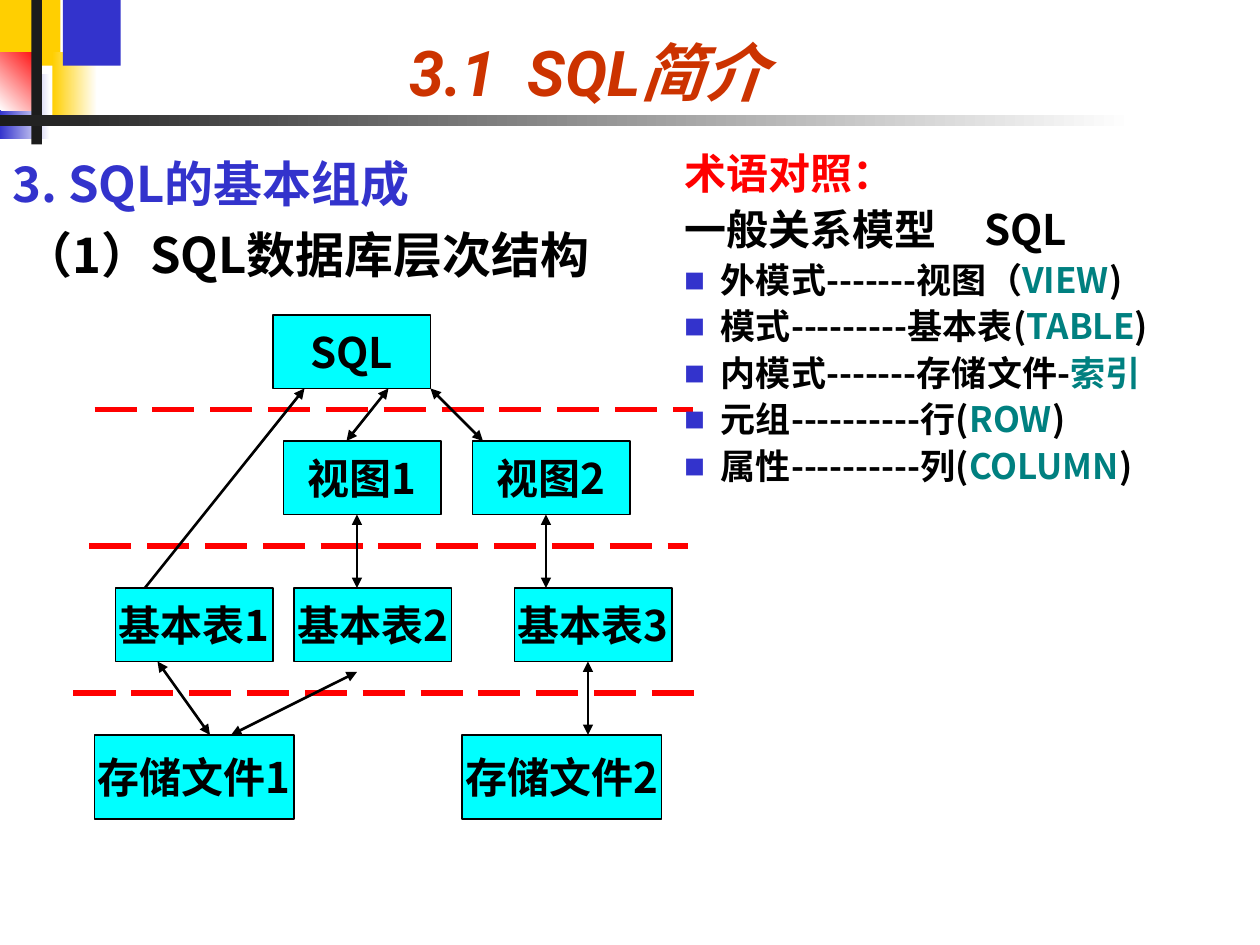
from dataclasses import dataclass
from typing import Optional

from lxml.etree import SubElement
from pptx import Presentation
from pptx.dml.color import RGBColor
from pptx.enum.dml import MSO_LINE as Dash
from pptx.enum.shapes import MSO_CONNECTOR as Connector, MSO_SHAPE as Preset
from pptx.enum.text import MSO_ANCHOR as Anchor, PP_ALIGN as Align
from pptx.oxml.ns import qn
from pptx.util import Inches, Pt

UNITS_PER_INCH = 12
CJK_FONT, TITLE_FONT = "Noto Sans CJK SC", "Roboto"
BLACK, BLUE, RED, TEAL = "000000", "3333CC", "FF0000", "008080"
GOLD, WHITE, CHARCOAL, CYAN = "FFCF01", "FFFFFF", "1C1C1C", "00FFFF"


@dataclass
class Block:
    col: float
    row: float
    cols: float
    rows: float
    fill: str
    fade: Optional[str] = None
    angle: float = 0


@dataclass
class Node:
    label: str
    col: float
    row: float
    cols: float = 15
    rows: float = 7


@dataclass
class Link:
    start: tuple[float, float]
    end: tuple[float, float]


@dataclass
class Term:
    usual: str
    keyword: str
    close: str = ")"


DECOR = [
    Block(0, 0, 5.75, 6.25, GOLD),
    Block(5, 5, 4.25, 6.25, GOLD, WHITE),
    Block(6, 0, 5.5, 6.25, BLUE),
    Block(0, 7, 4.75, 6.25, BLUE, WHITE),
    Block(0, 5, 4, 5.5, WHITE, RED, 45),
    Block(3, 0, 1, 13.75, CHARCOAL),
    Block(0, 11, 108, 1, CHARCOAL, WHITE),
]
NODES = [
    Node("SQL", 26, 30),
    Node("视图1", 27, 42),
    Node("视图2", 45, 42),
    Node("基本表1", 11, 56),
    Node("基本表2", 28, 56),
    Node("基本表3", 49, 56),
    Node("存储文件1", 9, 70, 19, 8),
    Node("存储文件2", 44, 70, 19, 8),
]
ARROWS = [
    Link((41, 37), (46, 42)),
    Link((37, 37), (33, 42)),
    Link((29, 37), (13, 57)),
    Link((34, 49), (34, 56)),
    Link((52, 49), (52, 56)),
    Link((15, 63), (20, 70)),
    Link((56, 63), (56, 70)),
    Link((34, 64), (22, 70)),
]
LAYER_BORDERS = [
    Link((9, 39), (66, 39)),
    Link((8.5, 52), (65.5, 52)),
    Link((7, 66), (67, 66)),
]
TERMS = [
    Term("外模式-------视图（", "VIEW"),
    Term("模式---------基本表(", "TABLE"),
    Term("内模式-------存储文件-", "索引", ""),
    Term("元组----------行(", "ROW"),
    Term("属性----------列(", "COLUMN"),
]


def colour(value: str) -> RGBColor:
    return RGBColor.from_string(value)


def grid(*units: float) -> list[int]:
    return [Inches(unit / UNITS_PER_INCH) for unit in units]


def style(span, size: float, shade: str, font: str = CJK_FONT, italic: bool = False) -> None:
    span.font.size = Pt(size)
    span.font.bold = True
    span.font.italic = italic
    span.font.name = font
    span.font.color.rgb = colour(shade)
    SubElement(span.font._element, qn("a:ea"), typeface=CJK_FONT)


def add_text_box(page, col: float, row: float, cols: float, rows: float):
    frame = page.shapes.add_textbox(*grid(col, row, cols, rows)).text_frame
    frame.word_wrap = True
    return frame


def add_block(page, block: Block):
    shape = page.shapes.add_shape(Preset.RECTANGLE, *grid(block.col, block.row, block.cols, block.rows))
    shape.shadow.inherit = False
    shape.line.fill.background()
    if block.fade:
        shape.fill.gradient()
        shape.fill.gradient_angle = block.angle
        for stop, shade in zip(shape.fill.gradient_stops, (block.fill, block.fade)):
            stop.color.rgb = colour(shade)
    else:
        shape.fill.solid()
        shape.fill.fore_color.rgb = colour(block.fill)
    return shape


def add_node(page, node: Node) -> None:
    box = add_block(page, Block(node.col, node.row, node.cols, node.rows, CYAN))
    box.line.color.rgb = colour(BLACK)
    box.line.width = Pt(0.75)
    frame = box.text_frame
    frame.text = node.label
    frame.word_wrap = False
    frame.vertical_anchor = Anchor.MIDDLE
    para = frame.paragraphs[0]
    para.alignment = Align.CENTER
    style(para.runs[0], 24, BLACK)


def add_line(page, link: Link, shade: str, width: float):
    line = page.shapes.add_connector(Connector.STRAIGHT, *grid(*link.start, *link.end))
    line.line.color.rgb = colour(shade)
    line.line.width = Pt(width)
    SubElement(line._element.spPr, qn("a:effectLst"))
    return line


def add_arrow(page, link: Link) -> None:
    outline = add_line(page, link, BLACK, 1.5).line._get_or_add_ln()
    for end in ("a:headEnd", "a:tailEnd"):
        SubElement(outline, qn(end), type="triangle")


def add_term(frame, term: Term) -> None:
    para = frame.add_paragraph()
    props = para._p.get_or_add_pPr()
    props.set("marL", str(Inches(0.29)))
    props.set("indent", str(-Inches(0.29)))
    SubElement(SubElement(props, qn("a:buClr")), qn("a:srgbClr"), val=BLUE)
    SubElement(props, qn("a:buSzPct"), val="60000")
    SubElement(props, qn("a:buFont"), typeface=CJK_FONT)
    SubElement(props, qn("a:buChar"), char="■")
    para.line_spacing = 0.9
    para.space_before = Pt(5)
    for words, shade in ((term.usual, BLACK), (term.keyword, TEAL), (term.close, BLACK)):
        if words:
            span = para.add_run()
            span.text = words
            style(span, 20, shade)


def add_title(page) -> None:
    frame = add_text_box(page, 15, 0, 82, 11)
    frame.text = "3.1  SQL简介"
    frame.vertical_anchor = Anchor.BOTTOM
    para = frame.paragraphs[0]
    para.alignment = Align.CENTER
    style(para.runs[0], 36, "CC3300", TITLE_FONT, True)


def add_headings(page) -> None:
    frame = add_text_box(page, 0, 14, 68, 14)
    frame.text = "3. SQL的基本组成\n（1）SQL数据库层次结构"
    for para, shade in zip(frame.paragraphs, (BLUE, BLACK)):
        style(para.runs[0], 28, shade)
    detail = frame.paragraphs[1]
    detail.space_before = Pt(7)
    detail._p.get_or_add_pPr().set("marL", str(Inches(0.09)))


def add_glossary(page) -> None:
    frame = add_text_box(page, 64, 14, 53, 39)
    frame.text = "术语对照：\n一般关系模型\tSQL"
    for para, shade in zip(frame.paragraphs, (RED, BLACK)):
        para.line_spacing = 0.9
        style(para.runs[0], 24, shade)
    header = frame.paragraphs[1]
    header.space_before = Pt(6)
    tabs = SubElement(header._p.get_or_add_pPr(), qn("a:tabLst"))
    SubElement(tabs, qn("a:tab"), pos=str(Inches(2.38)), algn="l")
    for term in TERMS:
        add_term(frame, term)


def main() -> None:
    deck = Presentation()
    deck.slide_width, deck.slide_height = grid(120, 90)
    page = deck.slides.add_slide(deck.slide_layouts[6])
    for block in DECOR:
        add_block(page, block)
    add_title(page)
    add_headings(page)
    for border in LAYER_BORDERS:
        add_line(page, border, RED, 3).line.dash_style = Dash.LONG_DASH
    for arrow in ARROWS:
        add_arrow(page, arrow)
    for node in NODES:
        add_node(page, node)
    add_glossary(page)
    deck.save("out.pptx")


if __name__ == "__main__":
    main()
